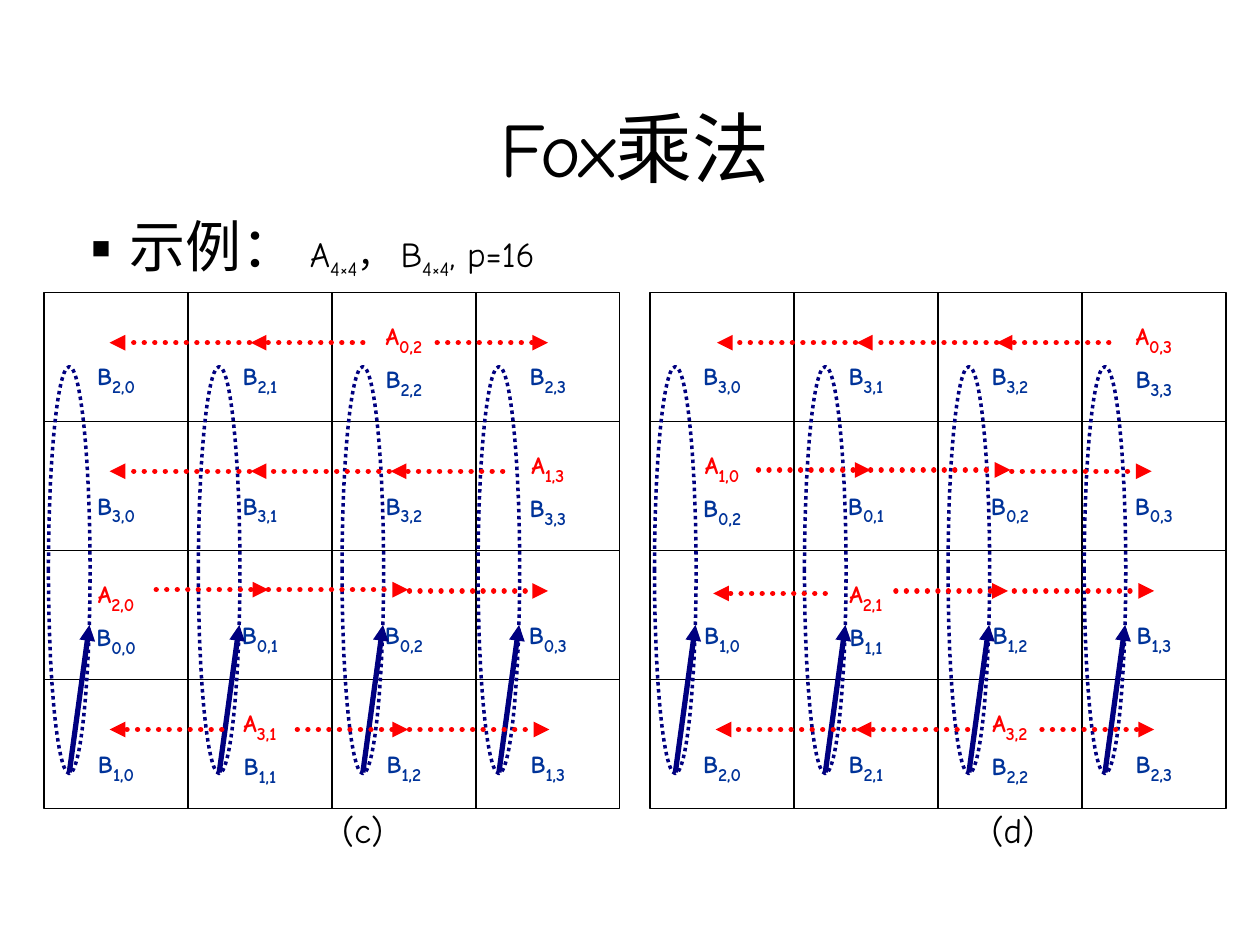
from typing import NamedTuple

from lxml import etree
from pptx import Presentation
from pptx.dml.color import RGBColor
from pptx.enum.dml import MSO_LINE
from pptx.enum.shapes import MSO_CONNECTOR, MSO_SHAPE
from pptx.enum.text import MSO_ANCHOR, MSO_AUTO_SIZE, PP_ALIGN
from pptx.oxml.ns import qn
from pptx.util import Inches, Pt

BLACK = RGBColor(0x00, 0x00, 0x00)
RED = RGBColor(0xFF, 0x00, 0x00)
BLUE = RGBColor(0x00, 0x33, 0x99)
NAVY = RGBColor(0x00, 0x00, 0x80)
LATIN_FONT = "Comic Neue"
CJK_FONT = "Noto Sans CJK JP"

GRID_TOP = 2.32
COLUMN_WIDTH = 4.57 / 4
ROW_HEIGHT = 4.1 / 4
LINE_HEIGHT = 0.3
LOOP_CENTERS = (0.2, 1.39, 2.53, 3.61)  # from the left edge of a grid


class Arrow(NamedTuple):
    start: float
    end: float
    y: float


class Panel(NamedTuple):
    left: float
    caption: str
    caption_center: float
    a_blocks: dict[tuple[int, int], str]
    b_blocks: list[list[str]]
    broadcasts: list[Arrow]


PANELS = [
    Panel(
        0.35, "(c)", 2.88,
        {(0, 2): "0,2", (1, 3): "1,3", (2, 0): "2,0", (3, 1): "3,1"},
        [["2,0", "2,1", "2,2", "2,3"],
         ["3,0", "3,1", "3,2", "3,3"],
         ["0,0", "0,1", "0,2", "0,3"],
         ["1,0", "1,1", "1,2", "1,3"]],
        [Arrow(2.88, 1.99, 2.72), Arrow(1.98, 0.87, 2.72), Arrow(3.47, 4.35, 2.72),
         Arrow(3.99, 3.1, 3.74), Arrow(3.09, 1.99, 3.74), Arrow(1.98, 0.87, 3.74),
         Arrow(1.24, 2.13, 4.68), Arrow(2.13, 3.24, 4.68), Arrow(3.25, 4.35, 4.69),
         Arrow(1.76, 0.87, 5.79), Arrow(2.36, 3.24, 5.79), Arrow(3.25, 4.36, 5.79)],
    ),
    Panel(
        5.16, "(d)", 8.04,
        {(0, 3): "0,3", (1, 0): "1,0", (2, 1): "2,1", (3, 2): "3,2"},
        [["3,0", "3,1", "3,2", "3,3"],
         ["0,2", "0,1", "0,2", "0,3"],
         ["1,0", "1,1", "1,2", "1,3"],
         ["2,0", "2,1", "2,2", "2,3"]],
        [Arrow(8.8, 7.91, 2.72), Arrow(7.91, 6.8, 2.72), Arrow(6.79, 5.69, 2.72),
         Arrow(6.02, 6.91, 3.73), Arrow(6.91, 8.02, 3.73), Arrow(8.03, 9.14, 3.74),
         Arrow(6.55, 5.66, 4.71), Arrow(7.11, 8, 4.69), Arrow(8.05, 9.16, 4.69),
         Arrow(7.68, 6.79, 5.79), Arrow(6.78, 5.68, 5.79), Arrow(8.27, 9.16, 5.79)],
    ),
]


def place(shape, left: float, top: float, width: float, height: float) -> None:
    shape.left, shape.top = Inches(left), Inches(top)
    shape.width, shape.height = Inches(width), Inches(height)


def add_run(paragraph, text: str, size: float, color: RGBColor = BLACK,
            font: str = LATIN_FONT, bold: bool = False, subscript: bool = False) -> None:
    run = paragraph.add_run()
    run.text = text
    run.font.size = Pt(size)
    run.font.bold = bold
    run.font.color.rgb = color
    run.font.name = font
    properties = run._r.get_or_add_rPr()
    etree.SubElement(properties, qn("a:ea")).set("typeface", CJK_FONT)
    if subscript:
        properties.set("baseline", "-25000")


def add_block_name(paragraph, letter: str, index: str, color: RGBColor) -> None:
    paragraph.alignment = PP_ALIGN.CENTER
    add_run(paragraph, letter, 14, color, bold=True)
    add_run(paragraph, index, 18, color, bold=True, subscript=True)


def add_outline(shapes, kind: MSO_SHAPE, left: float, top: float, width: float,
                height: float, color: RGBColor, weight: float):
    shape = shapes.add_shape(kind, Inches(left), Inches(top), Inches(width), Inches(height))
    shape.shadow.inherit = False
    shape.fill.background()
    shape.line.color.rgb = color
    shape.line.width = Pt(weight)
    return shape


def add_arrow(shapes, start: tuple[float, float], end: tuple[float, float],
              color: RGBColor, dotted: bool = False) -> None:
    arrow = shapes.add_connector(MSO_CONNECTOR.STRAIGHT, *map(Inches, start + end))
    arrow.line.color.rgb = color
    arrow.line.width = Pt(3)
    outline = arrow.line._get_or_add_ln()
    if dotted:
        arrow.line.dash_style = MSO_LINE.ROUND_DOT
        outline.set("cap", "rnd")
    etree.SubElement(outline, qn("a:tailEnd")).set("type", "triangle")
    etree.SubElement(arrow._element.spPr, qn("a:effectLst"))


def add_cell(shapes, panel: Panel, row: int, column: int) -> None:
    cell = add_outline(shapes, MSO_SHAPE.RECTANGLE, panel.left + column * COLUMN_WIDTH,
                       GRID_TOP + row * ROW_HEIGHT, COLUMN_WIDTH, ROW_HEIGHT, BLACK, 0.75)
    frame = cell.text_frame
    frame.word_wrap = False
    frame.vertical_anchor = MSO_ANCHOR.MIDDLE
    paragraph = frame.paragraphs[0]
    a_index = panel.a_blocks.get((row, column))
    if a_index:
        add_block_name(paragraph, "A", a_index, RED)
        paragraph = frame.add_paragraph()
    else:
        frame.margin_top = Inches(0.05 + LINE_HEIGHT)
    add_block_name(paragraph, "B", panel.b_blocks[row][column], BLUE)


def add_shift_loop(shapes, center: float) -> None:
    """Draw the upward rotation of one column of B blocks."""
    loop = shapes.add_group_shape().shapes
    ellipse = add_outline(loop, MSO_SHAPE.OVAL, center - 0.165, 2.91, 0.33, 3.23, NAVY, 2)
    ellipse.line.dash_style = MSO_LINE.ROUND_DOT
    add_arrow(loop, (center, 6.13), (center + 0.16, 4.96), NAVY)


def add_panel(shapes, panel: Panel) -> None:
    for row in range(4):
        for column in range(4):
            add_cell(shapes, panel, row, column)
    for center in LOOP_CENTERS:
        add_shift_loop(shapes, panel.left + center)
    for arrow in panel.broadcasts:
        add_arrow(shapes, (arrow.start, arrow.y), (arrow.end, arrow.y), RED, dotted=True)
    caption = shapes.add_textbox(Inches(panel.caption_center - 0.4), Inches(6.38),
                                 Inches(0.8), Inches(0.4)).text_frame
    caption.word_wrap = True
    caption.vertical_anchor = MSO_ANCHOR.MIDDLE
    caption.paragraphs[0].alignment = PP_ALIGN.CENTER
    add_run(caption.paragraphs[0], panel.caption, 20)


def fill_title(title) -> None:
    place(title, 0.75, 0.75, 8.58, 0.83)
    title.text_frame.vertical_anchor = MSO_ANCHOR.BOTTOM
    title.text_frame.paragraphs[0].alignment = PP_ALIGN.CENTER
    add_run(title.text_frame.paragraphs[0], "Fox乘法", 44)


def fill_body(body) -> None:
    place(body, 0.51, 1.65, 8.9, 5.22)
    frame = body.text_frame
    frame.auto_size = MSO_AUTO_SIZE.NONE
    frame.margin_left = frame.margin_right = Inches(0.07)
    frame.margin_top = frame.margin_bottom = Inches(0.03)
    example = frame.paragraphs[0]
    properties = example._p.get_or_add_pPr()
    properties.set("marL", str(Inches(0.38)))
    properties.set("indent", str(-Inches(0.38)))
    etree.SubElement(properties, qn("a:buFont")).set("typeface", CJK_FONT)
    etree.SubElement(properties, qn("a:buChar")).set("char", "▪")
    add_run(example, "示例： ", 32, font=CJK_FONT)
    add_run(example, "A", 20)
    add_run(example, "4×4", 20, subscript=True)
    add_run(example, "， B", 20)
    add_run(example, "4×4", 20, subscript=True)
    add_run(example, ", p=16", 20)


def main() -> None:
    presentation = Presentation()
    presentation.slide_width, presentation.slide_height = Inches(10), Inches(7.5)
    slide = presentation.slides.add_slide(presentation.slide_layouts[1])
    fill_title(slide.shapes.title)
    fill_body(slide.placeholders[1])
    for panel in PANELS:
        add_panel(slide.shapes, panel)
    presentation.save("out.pptx")


if __name__ == "__main__":
    main()
